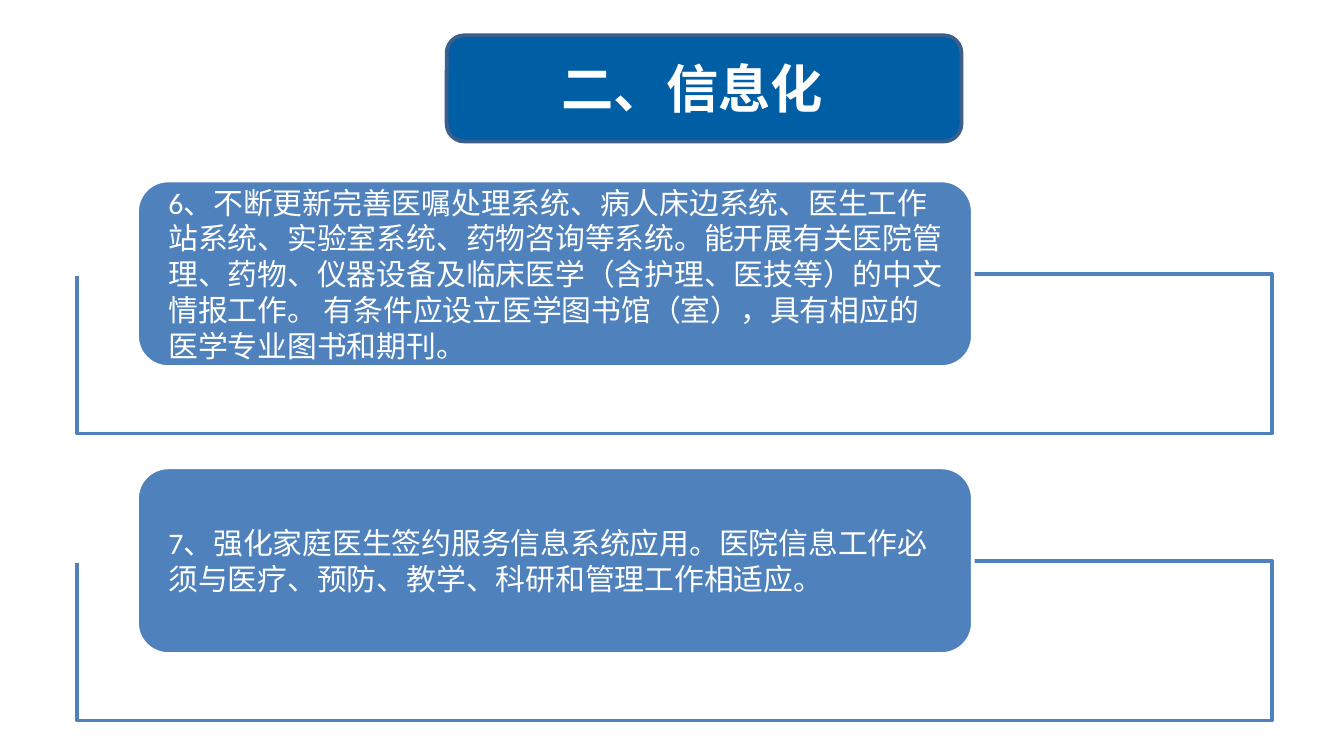
"""Build the slide on hospital information systems."""
from lxml.etree import SubElement
from pptx import Presentation
from pptx.dml.color import RGBColor
from pptx.enum.shapes import MSO_CONNECTOR as LINE, MSO_SHAPE as SHAPE
from pptx.enum.text import MSO_ANCHOR as ANCHOR, PP_ALIGN as ALIGN
from pptx.oxml.ns import qn
from pptx.util import Pt

HEADING = "二、信息化"
ITEMS = [
    "6、不断更新完善医嘱处理系统、病人床边系统、医生工作站系统、实验室系统、药物咨询等系统。"
    "能开展有关医院管理、药物、仪器设备及临床医学（含护理、医技等）的中文情报工作。 "
    "有条件应设立医学图书馆（室），具有相应的医学专业图书和期刊。",
    "7、强化家庭医生签约服务信息系统应用。医院信息工作必须与医疗、预防、教学、科研和管理工作相适应。",
]

WHITE = RGBColor(0xFF, 0xFF, 0xFF)
NAVY = RGBColor(0x00, 0x5E, 0xA4)
NAVY_EDGE = RGBColor(0x3A, 0x5F, 0x8C)
BLUE = RGBColor(0x4F, 0x81, 0xBD)
CJK_FONT = "Noto Sans CJK SC"

FRAME_LEFT, FRAME_TOP, FRAME_WIDTH, FRAME_HEIGHT = 41.3, 146.7, 640, 85.6
CARD_LEFT, CARD_WIDTH, CARD_HEIGHT = 73.4, 447.8, 100
ITEM_PITCH = 153.7


def add_panel(slide, kind, box, fill, edge):
    panel = slide.shapes.add_shape(kind, *map(Pt, box))
    panel.shadow.inherit = False
    panel.fill.solid()
    panel.fill.fore_color.rgb = fill
    panel.line.color.rgb = edge
    panel.line.width = Pt(2)
    return panel


def write(paragraph, text, font_name, size, bold=False):
    run = paragraph.add_run()
    run.text = text
    run.font.name = font_name
    run.font.size = Pt(size)
    run.font.bold = bold
    run.font.color.rgb = WHITE
    SubElement(run.font._element, qn("a:ea")).set("typeface", CJK_FONT)


def add_heading(slide):
    add_panel(slide, SHAPE.ROUNDED_RECTANGLE, (239.3, 18.9, 275.8, 56.9), NAVY, NAVY_EDGE)
    title = slide.shapes.title
    title.left, title.top, title.width, title.height = map(Pt, (225, 26.6, 291.6, 41))
    title.text_frame.vertical_anchor = ANCHOR.MIDDLE
    paragraph = title.text_frame.paragraphs[0]
    paragraph.alignment = ALIGN.CENTER
    write(paragraph, HEADING, CJK_FONT, 28, bold=True)
    slide.shapes._spTree.append(title._element)


def add_item(slide, text, frame_top):
    add_panel(slide, SHAPE.RECTANGLE,
              (FRAME_LEFT, frame_top, FRAME_WIDTH, FRAME_HEIGHT), WHITE, BLUE)
    card = add_panel(slide, SHAPE.ROUNDED_RECTANGLE,
                     (CARD_LEFT, frame_top - CARD_HEIGHT / 2, CARD_WIDTH, CARD_HEIGHT),
                     BLUE, WHITE)
    body = card.text_frame
    body.word_wrap = True
    body.vertical_anchor = ANCHOR.MIDDLE
    body.margin_left, body.margin_right = Pt(12), Pt(8.5)
    body.margin_top = body.margin_bottom = 0
    paragraph = body.paragraphs[0]
    paragraph.alignment = ALIGN.LEFT
    paragraph.line_spacing = Pt(19.2)
    write(paragraph, text, "Calibri", 16)

    gap = slide.shapes.add_connector(LINE.STRAIGHT, Pt(FRAME_LEFT - 1), Pt(frame_top),
                                     Pt(CARD_LEFT), Pt(frame_top))
    gap.line.color.rgb = WHITE
    gap.line.width = Pt(2.2)
    SubElement(gap._element.spPr, qn("a:effectLst"))


def main():
    deck = Presentation()
    deck.slide_width, deck.slide_height = Pt(720), Pt(405)
    slide = deck.slides.add_slide(deck.slide_layouts[5])
    add_heading(slide)
    for index, text in enumerate(ITEMS):
        add_item(slide, text, FRAME_TOP + index * ITEM_PITCH)
    deck.save("out.pptx")


if __name__ == "__main__":
    main()
